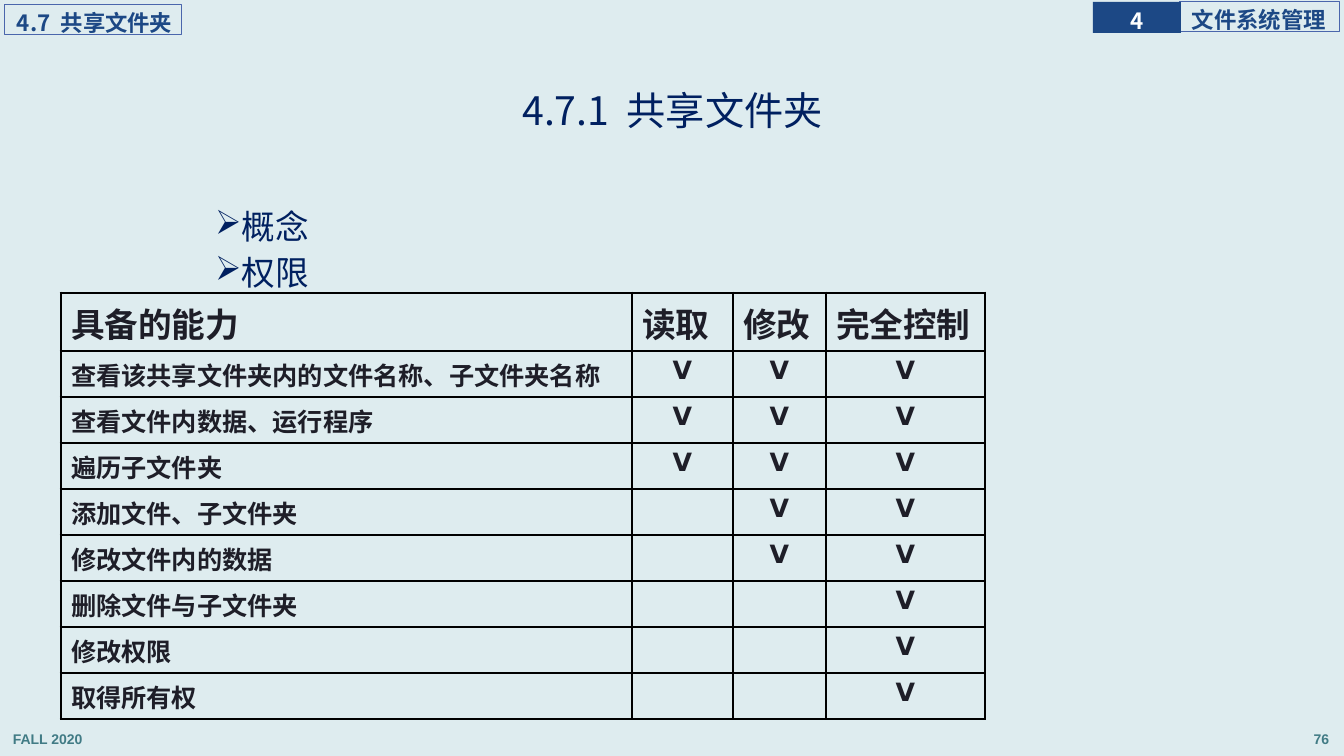
import pptx
import pptx.dml.color
import pptx.enum.text
import pptx.oxml
import pptx.oxml.ns
import pptx.util
from dataclasses import dataclass

ALIGN = pptx.enum.text.PP_ALIGN
MIDDLE = pptx.enum.text.MSO_ANCHOR.MIDDLE
A_NS = pptx.oxml.ns.nsdecls("a")
PX = 914400 / 100.8


@dataclass(frozen=True)
class Theme:
    back: str = "DEECEF"
    navy: str = "002060"
    label: str = "1C4885"
    label_line: str = "4A66AC"
    footer: str = "417B85"
    ink: str = "1E1E28"
    white: str = "FFFFFF"
    border: str = "000000"
    cjk: str = "Noto Sans CJK SC"
    table_font: str = "Cabin"
    mark_font: str = "DejaVu Sans"
    footer_font: str = "Arial"
    title_size: int = 28
    large_size: int = 24
    row_size: int = 18
    label_size: int = 16
    footer_size: int = 10


theme = Theme()
rgb = pptx.dml.color.RGBColor.from_string


def px(*lengths):
    """Turn pixel lengths into a list of EMU."""
    return [round(length * PX) for length in lengths]


def write(para, text, font, size, color, bold=False, align=ALIGN.LEFT, spacing=None):
    para.text = text
    para.alignment = align
    para.line_spacing = spacing
    para.font.name = font
    para.font.size = pptx.util.Pt(size)
    para.font.bold = bold
    para.font.color.rgb = rgb(color)
    para.font._element.append(
        pptx.oxml.parse_xml(f'<a:ea {A_NS} typeface="{theme.cjk}"/>'))


deck = pptx.Presentation()
deck.slide_width, deck.slide_height = px(1344, 756)
page = deck.slides.add_slide(deck.slide_layouts[5])
page.background.fill.solid()
page.background.fill.fore_color.rgb = rgb(theme.back)

# Footer
for left, text, align in ((3, "FALL 2020", ALIGN.LEFT), (1059, "76", ALIGN.RIGHT)):
    box = page.shapes.add_textbox(*px(left, 722, 280, 31))
    box.text_frame.word_wrap = True
    write(box.text_frame.paragraphs[0], text, theme.footer_font, theme.footer_size,
          theme.footer, True, align, 1.2)

# Chapter and section labels
labels = (
    ("文件系统管理", (1180, 2, 160, 30), False),
    ("4", (1093, 2, 88, 31), True),
    ("4.7  共享文件夹", (5, 5, 177, 30), False),
)
for text, place, filled in labels:
    box = page.shapes.add_shape(pptx.enum.shapes.MSO_SHAPE.RECTANGLE, *px(*place))
    box.shadow.inherit = False
    if filled:
        box.fill.solid()
        box.fill.fore_color.rgb = rgb(theme.label)
        box.line.fill.background()
    else:
        box.fill.background()
        box.line.color.rgb = rgb(theme.label_line)
        box.line.width = pptx.util.Pt(0.75)
    frame = box.text_frame
    frame.word_wrap = not filled
    frame.vertical_anchor = MIDDLE
    frame.margin_left, frame.margin_top, frame.margin_right, frame.margin_bottom = px(
        0 if filled else 12, 0, 0, 0)
    write(frame.paragraphs[0], text, theme.cjk, theme.label_size,
          theme.white if filled else theme.label, True,
          ALIGN.CENTER if filled else ALIGN.LEFT, 1.2)

# Title
title = page.shapes.title
title.left, title.top, title.width, title.height = px(93, 40, 1159, 146)
title.text_frame.vertical_anchor = MIDDLE
write(title.text_frame.paragraphs[0], "4.7.1  共享文件夹", theme.cjk, theme.title_size,
      theme.navy, align=ALIGN.CENTER, spacing=0.9)

# Topics
topics = page.shapes.add_textbox(*px(207, 206, 930, 465))
frame = topics.text_frame
frame.word_wrap = True
frame.margin_left, frame.margin_top, frame.margin_right, frame.margin_bottom = px(8, 4, 8, 4)
for index, text in enumerate(("概念", "权限")):
    para = frame.add_paragraph() if index else frame.paragraphs[0]
    write(para, text, theme.cjk, theme.large_size, theme.navy, spacing=0.9)
    para.space_before = pptx.util.Pt(7.5)
    props = para._p.get_or_add_pPr()
    indent = px(19)[0]
    props.set("marL", str(indent))
    props.set("indent", str(-indent))
    props.find(pptx.oxml.ns.qn("a:defRPr")).addprevious(
        pptx.oxml.parse_xml(f'<a:buChar {A_NS} char="➢"/>'))

# Permission table: each ability with the number of levels that lack it
headers = ("具备的能力", "读取", "修改", "完全控制")
abilities = (
    ("查看该共享文件夹内的文件名称、子文件夹名称", 0),
    ("查看文件内数据、运行程序", 0),
    ("遍历子文件夹", 0),
    ("添加文件、子文件夹", 1),
    ("修改文件内的数据", 1),
    ("删除文件与子文件夹", 2),
    ("修改权限", 2),
    ("取得所有权", 2),
)
rows = [headers] + [(name, *[""] * lacking, *["V"] * (3 - lacking))
                    for name, lacking in abilities]
last_row, last_column = len(rows) - 1, len(headers) - 1
grid = page.shapes.add_table(len(rows), len(headers), *px(61, 293, 924, 426)).table
grid.first_row = grid.horz_banding = False
for column, width in zip(grid.columns, px(571, 101, 93, 159)):
    column.width = width
for r, values in enumerate(rows):
    grid.rows[r].height = px(46 if r else 58)[0]
    for c, text in enumerate(values):
        cell = grid.cell(r, c)
        is_mark = r > 0 and c > 0
        write(cell.text_frame.paragraphs[0], text,
              theme.mark_font if is_mark else theme.table_font,
              theme.row_size if r else theme.large_size, theme.ink, True,
              ALIGN.CENTER if is_mark else ALIGN.LEFT)
        outer = {"L": c == 0, "R": c == last_column, "T": r == 0, "B": r == last_row}
        for side, is_outer in outer.items():
            width = pptx.util.Pt(2.25 if is_outer else 1)
            cell._tc.get_or_add_tcPr().append(pptx.oxml.parse_xml(
                f'<a:ln{side} {A_NS} w="{width}"><a:solidFill>'
                f'<a:srgbClr val="{theme.border}"/></a:solidFill></a:ln{side}>'))
        cell.fill.background()

deck.save("out.pptx")
